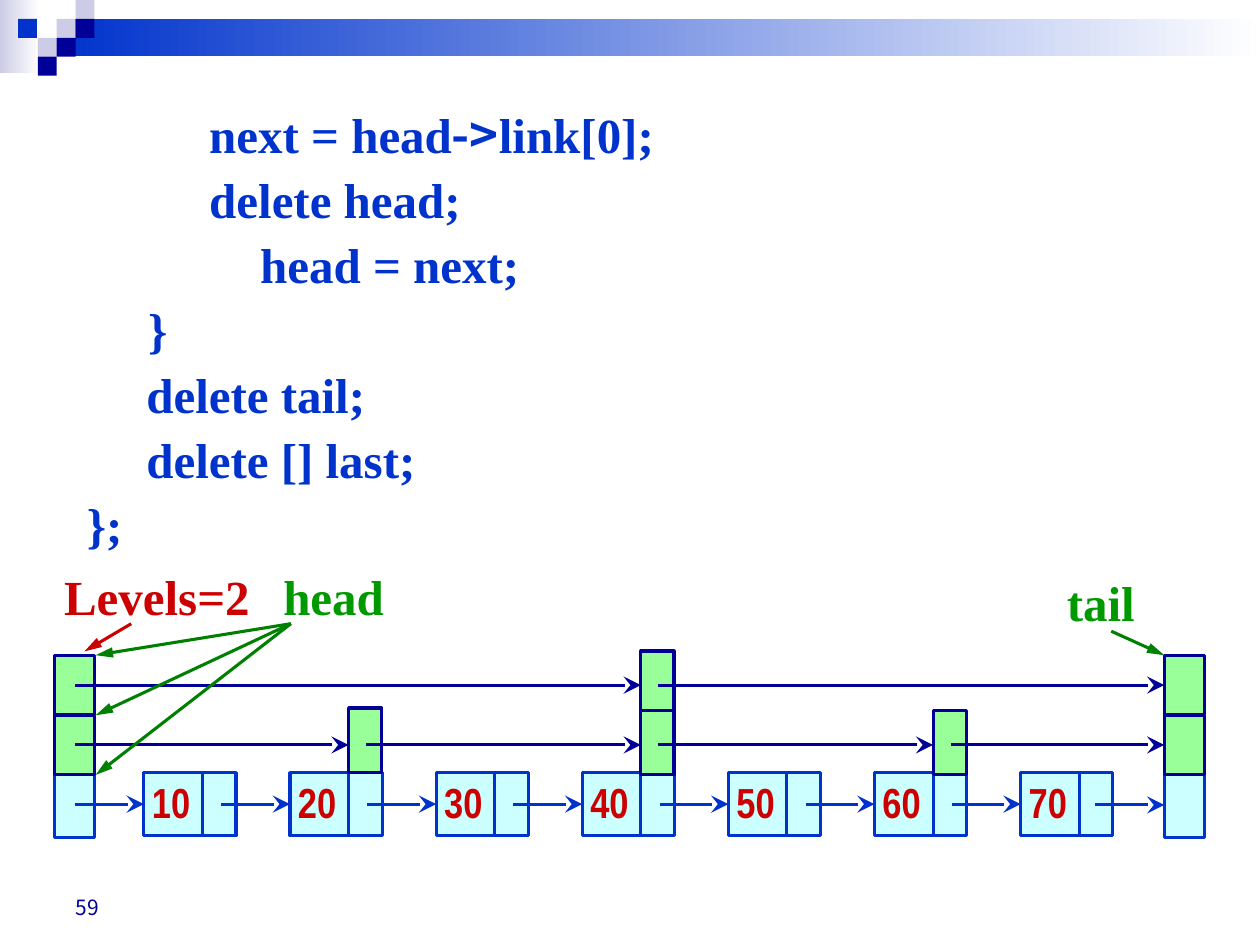
from dataclasses import dataclass

from lxml import etree
from pptx import Presentation
from pptx.dml.color import RGBColor
from pptx.enum.shapes import MSO_CONNECTOR, MSO_SHAPE
from pptx.enum.text import MSO_ANCHOR, MSO_AUTO_SIZE
from pptx.oxml.ns import qn
from pptx.util import Pt

RECT = MSO_SHAPE.RECTANGLE
STRAIGHT = MSO_CONNECTOR.STRAIGHT
TOP, BOTTOM = MSO_ANCHOR.TOP, MSO_ANCHOR.BOTTOM
NO_AUTOFIT, FIT_SHAPE = MSO_AUTO_SIZE.NONE, MSO_AUTO_SIZE.SHAPE_TO_FIT_TEXT


@dataclass(frozen=True)
class Theme:
    """Colours, fonts and sizes of the slide."""
    blue: str = "0033CC"
    navy: str = "000099"
    lilac: str = "CCCCE6"
    white: str = "FFFFFF"
    red: str = "CC0000"
    green: str = "009900"
    dark_green: str = "008000"
    cyan_fill: str = "CCFFFF"
    green_fill: str = "99FF99"
    serif: str = "Times New Roman"
    narrow: str = "Arial Narrow"
    symbol: str = "Noto Sans CJK SC"
    number: str = "Noto Sans CJK JP"
    code_size: int = 28
    key_size: int = 24
    number_size: int = 12
    line: float = 1.75


T = Theme()
CODE = [
    [("          next = head", T.serif), ("->", T.symbol), ("link[0];", T.serif)],
    [("          delete head;", T.serif)],
    [("\t\thead = next;", T.serif)],
    [("     }", T.serif)],
    [("\t delete tail;", T.serif)],
    [("\t delete [] last;", T.serif)],
    [("};", T.serif)],
]
KEYS = [10, 20, 30, 40, 50, 60, 70]
ARROW_WIDTHS = {"stealth": "lg", "triangle": "med"}
NODE_LEFT, NODE_STEP, NODE_TOP, NODE_W, NODE_H = 82.2, 83.5, 441.5, 52.7, 36
DIVIDER, LINK, REACH = 33.5, 43.5, 39.3
HEAD_LEFT, TAIL_LEFT, END_W = 31, 665.3, 23
LEVEL_TOPS, LEVEL_LINES = [374.4, 408.7], [391.5, 425.7]


def rgb(value):
    """Turn a hex string into a colour."""
    return RGBColor.from_string(value)


def add_box(s, x, y, w, h, fill, line=None, fade=None):
    """Add a rectangle, filled flat or fading to a second colour."""
    sp = s.shapes.add_shape(RECT, Pt(x), Pt(y), Pt(w), Pt(h))
    sp.shadow.inherit = False
    if fade:
        sp.fill.gradient()
        sp.fill.gradient_angle = 0
        for stop, colour in zip(sp.fill.gradient_stops, (fill, fade)):
            stop.color.rgb = rgb(colour)
    else:
        sp.fill.solid()
        sp.fill.fore_color.rgb = rgb(fill)
    if line:
        sp.line.color.rgb = rgb(line)
        sp.line.width = Pt(T.line)
    else:
        sp.line.fill.background()


def add_line(s, start, end, colour, arrow=None):
    """Add a straight line with an optional arrowhead at its end."""
    cx = s.shapes.add_connector(STRAIGHT, *map(Pt, (*start, *end)))
    cx.line.color.rgb = rgb(colour)
    cx.line.width = Pt(T.line)
    if arrow:
        etree.SubElement(cx.line._get_or_add_ln(), qn("a:tailEnd"),
                         type=arrow, w=ARROW_WIDTHS[arrow], len="lg")
    etree.SubElement(cx._element.spPr, qn("a:effectLst"))


def format_font(font, name, size, colour, bold=True):
    """Set the usual font properties."""
    font.name, font.size, font.bold = name, Pt(size), bold
    font.color.rgb = rgb(colour)


def add_text(s, text, x, y, w, h, *, font=T.serif, size=T.code_size,
             colour=T.red, bold=True, wrap=False, anchor=TOP):
    """Add a one-line text box."""
    tf = s.shapes.add_textbox(Pt(x), Pt(y), Pt(w), Pt(h)).text_frame
    tf.word_wrap, tf.vertical_anchor = wrap, anchor
    tf.auto_size = NO_AUTOFIT if wrap else FIT_SHAPE
    r = tf.paragraphs[0].add_run()
    r.text = text
    format_font(r.font, font, size, colour, bold)


def add_banner(s):
    """Draw the fading bar and its mosaic of squares."""
    add_box(s, 0, 0, 22.5, 41.8, T.lilac, fade=T.white)
    add_box(s, 32.4, 10.8, 687.6, 21.4, T.blue, fade=T.white)
    squares = [(32.4, 10.8, T.lilac), (43.2, 0, T.lilac), (43.2, 10.8, T.navy),
               (21.6, 21.6, T.lilac), (10.3, 10.8, T.blue),
               (32.4, 21.6, T.navy), (21.6, 32.4, T.navy)]
    for x, y, colour in squares:
        add_box(s, x, y, 10.8, 10.8, colour)


def add_code(sp):
    """Place the body placeholder and fill it with the code lines."""
    sp.left, sp.top, sp.width, sp.height = Pt(42.5), Pt(54.7), Pt(648), Pt(442)
    tf = sp.text_frame
    tf.auto_size, tf.word_wrap, tf.vertical_anchor = NO_AUTOFIT, True, TOP
    for i, line in enumerate(CODE):
        p = tf.add_paragraph() if i else tf.paragraphs[0]
        p.line_spacing, p.space_before = 1.05, Pt(1.8 if i else 0)
        pPr = p._p.get_or_add_pPr()
        pPr.set("marL", str(Pt(27)))
        pPr.set("indent", str(Pt(-27)))
        pPr.set("defTabSz", str(Pt(72)))
        etree.SubElement(pPr, qn("a:buNone"))
        tabs = etree.SubElement(pPr, qn("a:tabLst"))
        for stop in range(8):
            etree.SubElement(tabs, qn("a:tab"), pos=str(Pt(72 * stop)), algn="l")
        for text, font in line:
            r = p.add_run()
            r.text = text
            format_font(r.font, font, T.code_size, T.blue)


def node_left(i):
    """Return the left edge of a list node."""
    return NODE_LEFT + NODE_STEP * i


def add_node(s, i, key):
    """Draw a node with its key, divider and incoming link."""
    x, y = node_left(i), NODE_TOP + 18
    add_box(s, x, NODE_TOP, NODE_W, NODE_H, T.cyan_fill, T.blue)
    add_line(s, (x + DIVIDER, NODE_TOP - 0.7), (x + DIVIDER, NODE_TOP + 36.5), T.blue)
    add_line(s, (x - REACH, y), (x, y), T.blue, "stealth")
    add_text(s, str(key), x - 2.5, 440, 48, 47.5, font=T.narrow,
             size=T.key_size, wrap=True)


def add_skip_level(s, top, y, nodes):
    """Draw one level of skip links through the given (index, top) nodes."""
    for x in (HEAD_LEFT, TAIL_LEFT):
        add_box(s, x, top, END_W, 34, T.green_fill, T.navy)
    start = HEAD_LEFT + 12
    for i, box_top in nodes:
        x = node_left(i) + DIVIDER
        add_box(s, x, box_top, 19, 36.7, T.green_fill, T.navy)
        add_line(s, (start, y), (x, y), T.navy, "stealth")
        start = node_left(i) + LINK
    add_line(s, (start, y), (TAIL_LEFT, y), T.navy, "stealth")


def add_skip_list(s):
    """Draw the base list and its two skip levels."""
    for x in (HEAD_LEFT, TAIL_LEFT):
        add_box(s, x, 442.5, END_W, NODE_H, T.cyan_fill, T.blue)
    for i, key in enumerate(KEYS):
        add_node(s, i, key)
    add_line(s, (TAIL_LEFT - REACH, 460), (TAIL_LEFT, 460), T.blue, "stealth")
    levels = [[(3, 372)], [(1, 404.6), (3, 406), (5, 406)]]
    for top, y, nodes in zip(LEVEL_TOPS, LEVEL_LINES, levels):
        add_skip_level(s, top, y, nodes)


def add_labels(s):
    """Add the labels and the arrows that lead from them."""
    add_text(s, "Levels=2", 29.6, 320, 122, 41)
    add_text(s, "head", 154.8, 320, 72, 41, colour=T.green)
    add_text(s, "tail", 602.6, 323.6, 53.3, 41, colour=T.green)
    add_line(s, (75, 356.4), (48.3, 372.2), T.red, "triangle")
    for y in (*LEVEL_TOPS, 442.8):
        add_line(s, (166.2, 356.4), (54.7, y), T.dark_green, "triangle")
    add_line(s, (635, 360.7), (TAIL_LEFT, 374.4), T.dark_green, "triangle")


def main():
    """Build the slide and save it."""
    prs = Presentation()
    prs.slide_width, prs.slide_height = Pt(720), Pt(540)
    s = prs.slides.add_slide(prs.slide_layouts[1])
    title, body = s.placeholders
    title._element.getparent().remove(title._element)
    add_banner(s)
    add_text(s, "59", 36, 491.8, 168, 37.4, font=T.number, size=T.number_size,
             colour=T.navy, bold=False, wrap=True, anchor=BOTTOM)
    add_code(body)
    add_skip_list(s)
    add_labels(s)
    prs.save("out.pptx")


if __name__ == "__main__":
    main()
